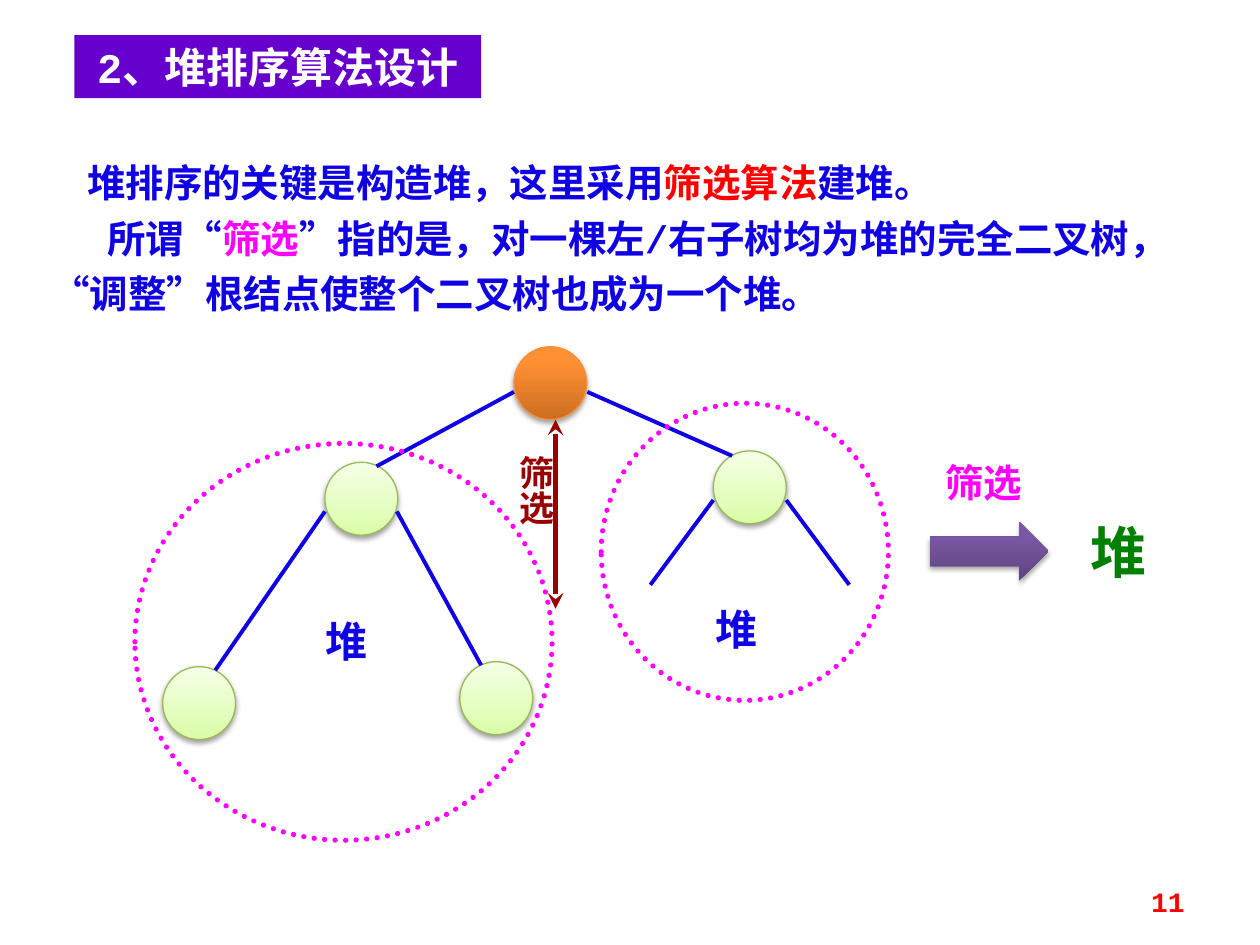
"""Build the slide on heap sort algorithm design with its sift-down tree."""
from lxml.etree import SubElement
from pptx import Presentation
from pptx.dml.color import RGBColor
from pptx.enum.dml import MSO_LINE
from pptx.enum.shapes import MSO_CONNECTOR, MSO_SHAPE
from pptx.enum.text import MSO_ANCHOR, PP_ALIGN
from pptx.oxml.ns import qn
from pptx.util import Cm, Pt

BLUE = RGBColor(0x10, 0x00, 0xE4)
RED = RGBColor(0xFF, 0x00, 0x00)
MAGENTA = RGBColor(0xFF, 0x00, 0xFF)
MAROON = RGBColor(0x99, 0x00, 0x00)
GREEN = RGBColor(0x00, 0x80, 0x00)
WHITE = RGBColor(0xFF, 0xFF, 0xFF)
VIOLET = RGBColor(0x66, 0x00, 0xCC)
ORANGE_EDGE = RGBColor(0xF6, 0x92, 0x40)
LEAF_EDGE = RGBColor(0x98, 0xB9, 0x55)
ORANGE_FADE = ((0, RGBColor(0xCC, 0x6E, 0x20)), (0.8, RGBColor(0xFF, 0x90, 0x34)))
LEAF_FADE = ((0, RGBColor(0xDA, 0xFD, 0xA7)), (1, RGBColor(0xF5, 0xFF, 0xE7)))
PURPLE_FADE = ((0, RGBColor(0x5F, 0x44, 0x80)), (0.8, RGBColor(0x7B, 0x58, 0xA6)))
NODE_SIZE = 1.47


class HeapSlide:
    """Style and current slide, with one method per kind of element."""

    font_name = "Courier New"

    def __init__(self, deck):
        self.slide = deck.slides.add_slide(deck.slide_layouts[5])

    def style(self, paragraph, size, color=None, align=PP_ALIGN.LEFT):
        paragraph.alignment = align
        font = paragraph.font
        font.name, font.size, font.bold = self.font_name, Pt(size), True
        if color is not None:
            font.color.rgb = color

    def title(self, wording, left, top, width, height):
        heading = self.slide.shapes.title
        heading.left, heading.top = Cm(left), Cm(top)
        heading.width, heading.height = Cm(width), Cm(height)
        heading.fill.solid()
        heading.fill.fore_color.rgb = VIOLET
        heading.text_frame.text = wording
        heading.text_frame.vertical_anchor = MSO_ANCHOR.MIDDLE
        self.style(heading.text_frame.paragraphs[0], 24, WHITE, PP_ALIGN.CENTER)

    def box(self, left, top, width, height):
        frame = self.slide.shapes.add_textbox(
            Cm(left), Cm(top), Cm(width), Cm(height)).text_frame
        frame.word_wrap = True
        return frame

    def label(self, wording, bounds, size, color, align=PP_ALIGN.LEFT, vertical=False):
        frame = self.box(*bounds)
        frame.text = wording
        self.style(frame.paragraphs[0], size, color, align)
        if vertical:
            frame._txBody.bodyPr.set("vert", "eaVert")
        return frame

    def body(self, passages, bounds):
        frame = self.box(*bounds)
        for number, (indent, pieces) in enumerate(passages):
            paragraph = frame.add_paragraph() if number else frame.paragraphs[0]
            self.style(paragraph, 22)
            paragraph.line_spacing = 1.2
            paragraph._p.get_or_add_pPr().set("indent", str(Cm(indent)))
            for wording, color in pieces:
                run = paragraph.add_run()
                run.text = wording
                run.font.color.rgb = color

    def shape(self, kind, left, top, width, height):
        drawn = self.slide.shapes.add_shape(
            kind, Cm(left), Cm(top), Cm(width), Cm(height))
        drawn.shadow.inherit = False
        return drawn

    def raised(self, kind, bounds, fade, edge=None):
        drawn = self.shape(kind, *bounds)
        drawn.fill.gradient()
        drawn.fill.gradient_angle = 90
        for stop, (position, color) in zip(drawn.fill.gradient_stops, fade):
            stop.position, stop.color.rgb = position, color
        if edge is None:
            drawn.line.fill.background()
        else:
            drawn.line.color.rgb, drawn.line.width = edge, Pt(0.75)
        effects = drawn._element.spPr.find(qn("a:effectLst"))
        shadow = SubElement(effects, qn("a:outerShdw"), blurRad=str(Pt(3.1)),
                            dist=str(Pt(1.8)), dir="5400000", rotWithShape="0")
        tint = SubElement(shadow, qn("a:srgbClr"), val="000000")
        SubElement(tint, qn("a:alpha"), val="36000")

    def node(self, left, top, fade=LEAF_FADE, edge=LEAF_EDGE):
        self.raised(MSO_SHAPE.OVAL, (left, top, NODE_SIZE, NODE_SIZE), fade, edge)

    def subtree_ring(self, *bounds):
        ring = self.shape(MSO_SHAPE.OVAL, *bounds)
        ring.fill.background()
        ring.line.color.rgb, ring.line.width = MAGENTA, Pt(3)
        ring.line.dash_style = MSO_LINE.ROUND_DOT
        ring.line._get_or_add_ln().set("cap", "rnd")

    def line(self, start_x, start_y, end_x, end_y, color=BLUE, width=2.25, arrows=False):
        link = self.slide.shapes.add_connector(
            MSO_CONNECTOR.STRAIGHT, Cm(start_x), Cm(start_y), Cm(end_x), Cm(end_y))
        link.line.color.rgb, link.line.width = color, Pt(width)
        if arrows:
            for end in ("a:headEnd", "a:tailEnd"):
                SubElement(link.line._get_or_add_ln(), qn(end), type="stealth")
        SubElement(link._element.spPr, qn("a:effectLst"))


def main():
    deck = Presentation()
    deck.slide_width, deck.slide_height = Cm(25.4), Cm(19.05)
    page = HeapSlide(deck)

    page.title("2、堆排序算法设计", 1.5, 0.71, 8.2, 1.27)
    page.body([
        (0.72, [("堆排序的关键是构造堆，这里采用", BLUE), ("筛选算法", RED),
                ("建堆。", BLUE)]),
        (1.12, [("所谓“", BLUE), ("筛选", MAGENTA),
                ("”指的是，对一棵左/右子树均为堆的完全二叉树，"
                 "“调整”根结点使整个二叉树也成为一个堆。", BLUE)]),
    ], (0.79, 2.9, 23.01, 3.63))

    page.node(10.36, 6.99, ORANGE_FADE, ORANGE_EDGE)
    for corner in ((6.55, 9.32), (14.38, 9.09), (3.28, 13.44), (9.27, 13.34)):
        page.node(*corner)
    for branch in ((10.36, 7.9, 7.59, 9.4), (11.84, 7.9, 14.76, 9.19),
                   (6.55, 10.31, 4.34, 13.51), (8, 10.31, 9.7, 13.41),
                   (14.38, 10.08, 13.11, 11.79), (15.85, 10.08, 17.12, 11.79)):
        page.line(*branch)

    for left, top in ((6.32, 12.29), (14.17, 12.04)):
        page.label("堆", (left, top, 1.37, 1.27), 24, BLUE)
    page.line(11.2, 8.46, 11.2, 12.27, MAROON, 3, arrows=True)
    page.label("筛选", (9.98, 8.94, 1.37, 2.24), 20, MAROON, vertical=True)
    page.subtree_ring(2.72, 8.94, 8.41, 8)
    page.subtree_ring(12.12, 8.13, 5.79, 5.99)

    page.raised(MSO_SHAPE.RIGHT_ARROW, (18.75, 10.52, 2.39, 1.19), PURPLE_FADE)
    page.label("堆", (21.74, 10.31, 2.39, 1.6), 32, GREEN)
    page.label("筛选", (18.64, 9.12, 2.39, 1.19), 22, MAGENTA, PP_ALIGN.CENTER)
    page_number = page.label("11", (18.21, 17.65, 5.92, 1.02), 16, RED, PP_ALIGN.RIGHT)
    page_number.vertical_anchor = MSO_ANCHOR.MIDDLE

    deck.save("out.pptx")


if __name__ == "__main__":
    main()
